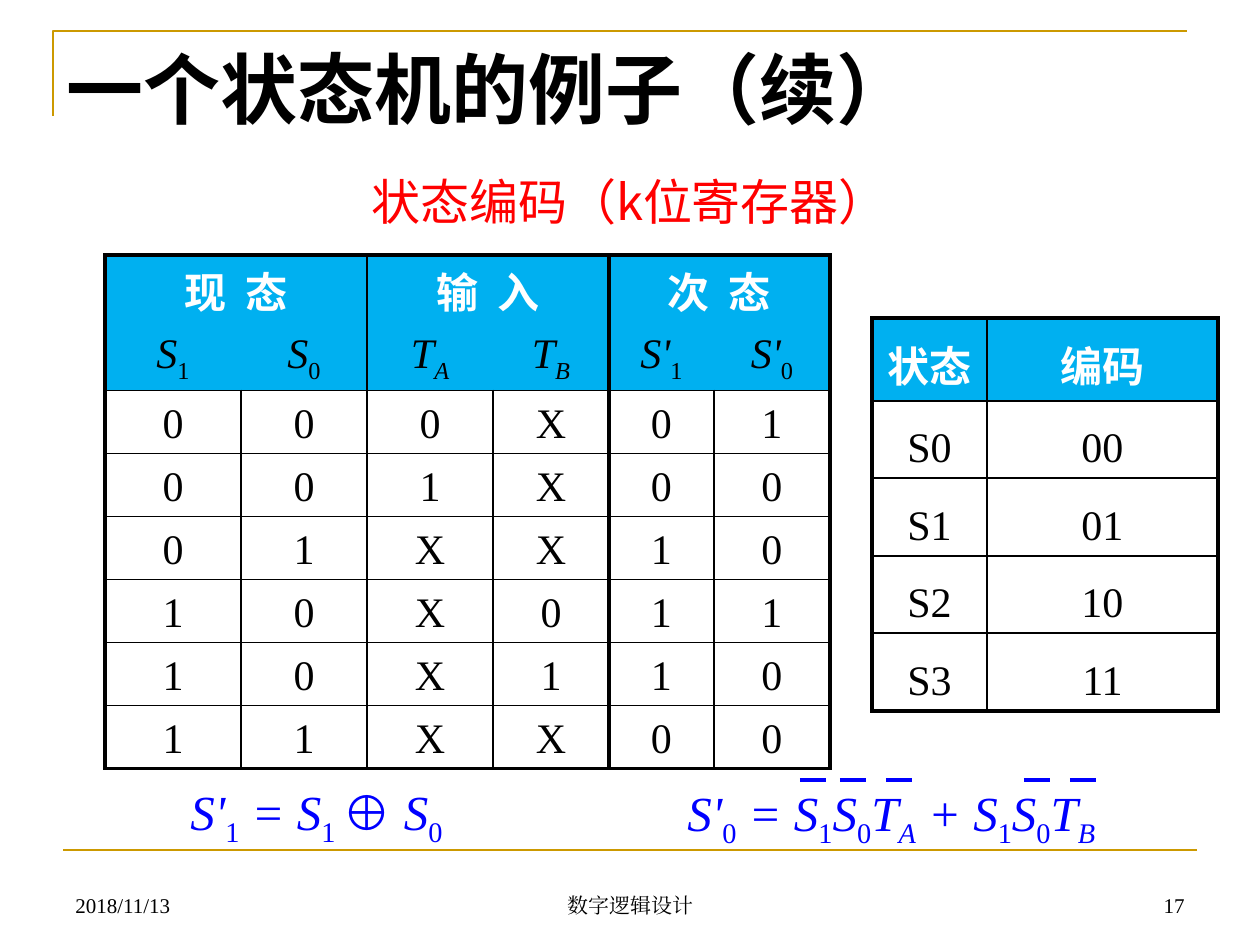
from dataclasses import dataclass
from typing import NamedTuple

from lxml import etree
from pptx import Presentation
from pptx.dml.color import RGBColor
from pptx.enum.shapes import MSO_CONNECTOR
from pptx.enum.text import MSO_ANCHOR, PP_ALIGN
from pptx.oxml.ns import qn
from pptx.util import Emu, Pt

STRAIGHT = MSO_CONNECTOR.STRAIGHT
LEFT, CENTER, RIGHT = PP_ALIGN.LEFT, PP_ALIGN.CENTER, PP_ALIGN.RIGHT
TOP, MIDDLE, BOTTOM = MSO_ANCHOR.TOP, MSO_ANCHOR.MIDDLE, MSO_ANCHOR.BOTTOM
PX_PER_INCH = 126
TITLE_ONLY = 5


@dataclass(frozen=True)
class Theme:
    black: str = "000000"
    white: str = "FFFFFF"
    gold: str = "CC9900"
    red: str = "FF0000"
    blue: str = "0000FF"
    header: str = "00B0F0"
    cjk: str = "Noto Sans CJK SC"
    serif: str = "Times New Roman"
    sans: str = "Arial"
    title_size: int = 44
    large_size: int = 28
    table_size: int = 24
    footer_size: int = 12
    thin: float = 1
    rule: float = 1.5
    outer: float = 2.25
    divider: float = 3


THEME = Theme()


class Style(NamedTuple):
    size: int
    font: str
    color: str
    bold: bool = False


class Piece(NamedTuple):
    text: str
    italic: bool = False
    sub: bool = False
    font: str = ""


class Box(NamedTuple):
    left: int
    top: int
    width: int
    height: int


@dataclass(frozen=True)
class Grid:
    left: int
    top: int
    columns: list[int]
    rows: list[int]
    verticals: list[float]
    horizontals: list[float]
    header_rows: int = 1
    header_group: int = 1


HEADING = Style(THEME.table_size, THEME.cjk, THEME.white, True)
BODY = Style(THEME.table_size, THEME.serif, THEME.black)
FORMULA = Style(THEME.large_size, THEME.serif, THEME.blue)
FOOTER = Style(THEME.footer_size, THEME.serif, THEME.black)


def px(length: int) -> Emu:
    return Emu(round(length * 914400 / PX_PER_INCH))


def symbol(name: str, index: str, italic_index: bool = False) -> list[Piece]:
    return [Piece(name, True), Piece(index, italic_index, True)]


def write(frame, pieces: list[Piece], style: Style, align=LEFT, anchor=MIDDLE) -> None:
    frame.word_wrap = True
    frame.vertical_anchor = anchor
    paragraph = frame.paragraphs[0]
    paragraph.alignment = align
    for piece in pieces:
        run = paragraph.add_run()
        run.text = piece.text
        font = run.font
        font.size, font.bold, font.italic = Pt(style.size), style.bold, piece.italic
        font.color.rgb = RGBColor.from_string(style.color)
        font.name = piece.font or style.font
        properties = run._r.get_or_add_rPr()
        etree.SubElement(properties, qn("a:ea"), typeface=font.name)
        if piece.sub:
            properties.set("baseline", "-25000")


def add_text(slide, box: Box, pieces: list[Piece], style: Style, align=LEFT, anchor=MIDDLE):
    frame = slide.shapes.add_textbox(*map(px, box)).text_frame
    write(frame, pieces, style, align, anchor)
    return frame


def add_rule(slide, left: int, right: int, y: int, color: str, width: float) -> None:
    rule = slide.shapes.add_connector(STRAIGHT, px(left), px(y), px(right), px(y))
    rule.line.color.rgb = RGBColor.from_string(color)
    rule.line.width = Pt(width)
    etree.SubElement(rule._element.spPr, qn("a:effectLst"))


def add_corner(slide, left: int, top: int, right: int, bottom: int) -> None:
    builder = slide.shapes.build_freeform(px(left), px(bottom))
    builder.add_line_segments([(px(left), px(top)), (px(right), px(top))], close=False)
    corner = builder.convert_to_shape()
    corner.shadow.inherit = False
    corner.fill.background()
    corner.line.color.rgb = RGBColor.from_string(THEME.gold)
    corner.line.width = Pt(THEME.rule)


def set_borders(cell, widths: dict[str, float]) -> None:
    """Draw the sides lnL, lnR, lnT and lnB; a width of 0 hides the side."""
    properties = cell._tc.get_or_add_tcPr()
    for side, width in widths.items():
        line = etree.SubElement(properties, qn(f"a:{side}"), w=str(Pt(width)))
        if width:
            fill = etree.SubElement(line, qn("a:solidFill"))
            etree.SubElement(fill, qn("a:srgbClr"), val=THEME.black)
        else:
            etree.SubElement(line, qn("a:noFill"))


def add_grid(slide, grid: Grid, content: list[list[list[Piece]]]) -> None:
    """Fill a bordered table; an empty cell joins the heading on its left."""
    table = slide.shapes.add_table(
        len(grid.rows), len(grid.columns), px(grid.left), px(grid.top),
        px(sum(grid.columns)), px(sum(grid.rows))).table
    table.first_row = table.horz_banding = False
    for column, width in zip(table.columns, grid.columns):
        column.width = px(width)
    for row, height in zip(table.rows, grid.rows):
        row.height = px(height)
    for c in range(0, len(grid.columns), grid.header_group):
        if grid.header_group > 1:
            table.cell(0, c).merge(table.cell(0, c + grid.header_group - 1))

    for r, row_content in enumerate(content):
        in_header = r < grid.header_rows
        for c, pieces in enumerate(row_content):
            cell = table.cell(r, c)

            def vertical(edge: int) -> float:
                hidden = in_header and edge % grid.header_group
                return 0 if hidden else grid.verticals[edge]

            set_borders(cell, {
                "lnL": vertical(c), "lnR": vertical(c + cell.span_width),
                "lnT": grid.horizontals[r], "lnB": grid.horizontals[r + 1]})
            if in_header:
                cell.fill.solid()
                cell.fill.fore_color.rgb = RGBColor.from_string(THEME.header)
            else:
                cell.fill.background()
            cell.margin_top, cell.margin_bottom = 0, px(6)
            cell.vertical_anchor = BOTTOM
            write(cell.text_frame, pieces, HEADING if r == 0 else BODY, CENTER, BOTTOM)


def plain(words: list[str]) -> list[list[Piece]]:
    return [[Piece(word)] if word else [] for word in words]


def main() -> None:
    deck = Presentation()
    deck.slide_width, deck.slide_height = px(1260), px(945)
    slide = deck.slides.add_slide(deck.slide_layouts[TITLE_ONLY])

    add_corner(slide, 53, 31, 1187, 116)
    add_rule(slide, 63, 1197, 850, THEME.gold, THEME.rule)
    for left, width, words, align in ((63, 294, "2018/11/13", LEFT),
                                      (431, 399, "数字逻辑设计", CENTER),
                                      (903, 294, "17", RIGHT)):
        add_text(slide, Box(left, 861, width, 63), [Piece(words)], FOOTER, align, BOTTOM)

    title = slide.shapes.title
    title.left, title.top, title.width, title.height = map(px, Box(54, 35, 973, 105))
    write(title.text_frame, [Piece("一个状态机的例子（续）")],
          Style(THEME.title_size, THEME.cjk, THEME.black, True))
    add_text(slide, Box(312, 165, 635, 72), [Piece("状态编码（k位寄存器）")],
             Style(THEME.large_size, THEME.cjk, THEME.red), CENTER)

    thin, outer, divider = THEME.thin, THEME.outer, THEME.divider
    transitions = Grid(105, 255, [136, 126, 126, 116, 105, 116], [72, 60] + [63] * 6,
                       [outer, thin, thin, thin, divider, thin, outer],
                       [outer, 0] + [thin] * 6 + [outer], header_rows=2, header_group=2)
    variables = [symbol("S", "1"), symbol("S", "0"), symbol("T", "A", True),
                 symbol("T", "B", True), symbol("S'", "1"), symbol("S'", "0")]
    states = ["000X01", "001X00", "01XX10", "10X011", "10X110", "11XX00"]
    add_grid(slide, transitions,
             [plain(["现  态", "", "输  入", "", "次  态", ""]), variables]
             + [plain(list(row)) for row in states])

    encoding = Grid(872, 318, [115, 231], [83, 77, 78, 77, 78],
                    [outer, thin, outer], [outer] + [thin] * 4 + [outer])
    add_grid(slide, encoding, [plain(["状态", "编码"])]
             + [plain([f"S{n}", f"{n:02b}"]) for n in range(4)])

    next_s1 = [*symbol("S'", "1"), *symbol(" = S", "1 "),
               Piece("⊕", font=THEME.sans), *symbol(" S", "0")]
    next_s0 = [*symbol("S'", "0"), *symbol(" = S", "1"), *symbol("S", "0"),
               *symbol("T", "A", True), *symbol(" + S", "1"), *symbol("S", "0"),
               *symbol("T", "B", True)]
    for box, formula in ((Box(178, 770, 284, 72), next_s1),
                         (Box(675, 771, 450, 72), next_s0)):
        add_text(slide, box, formula, FORMULA, anchor=TOP).margin_top = px(11)
    for left in (800, 840, 886, 1024, 1070):
        add_rule(slide, left, left + 26, 780, THEME.blue, outer)

    deck.save("out.pptx")


if __name__ == "__main__":
    main()
